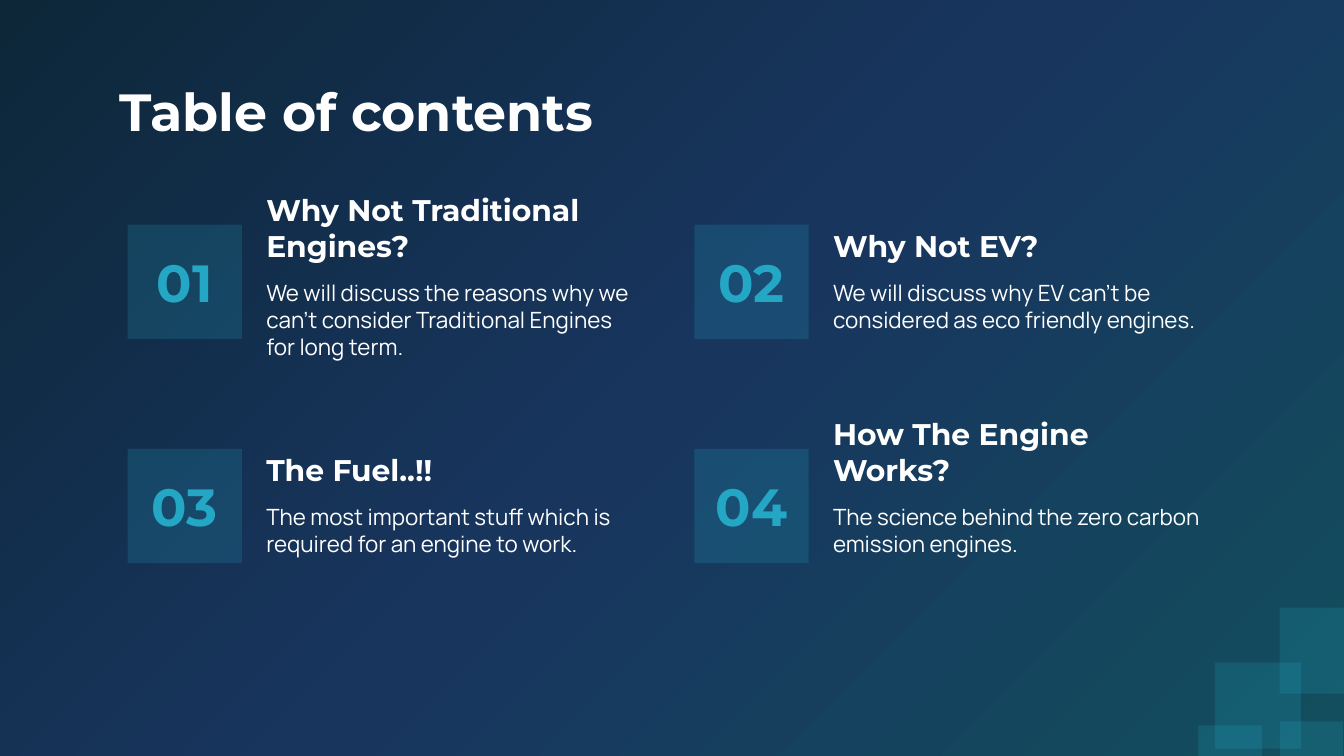
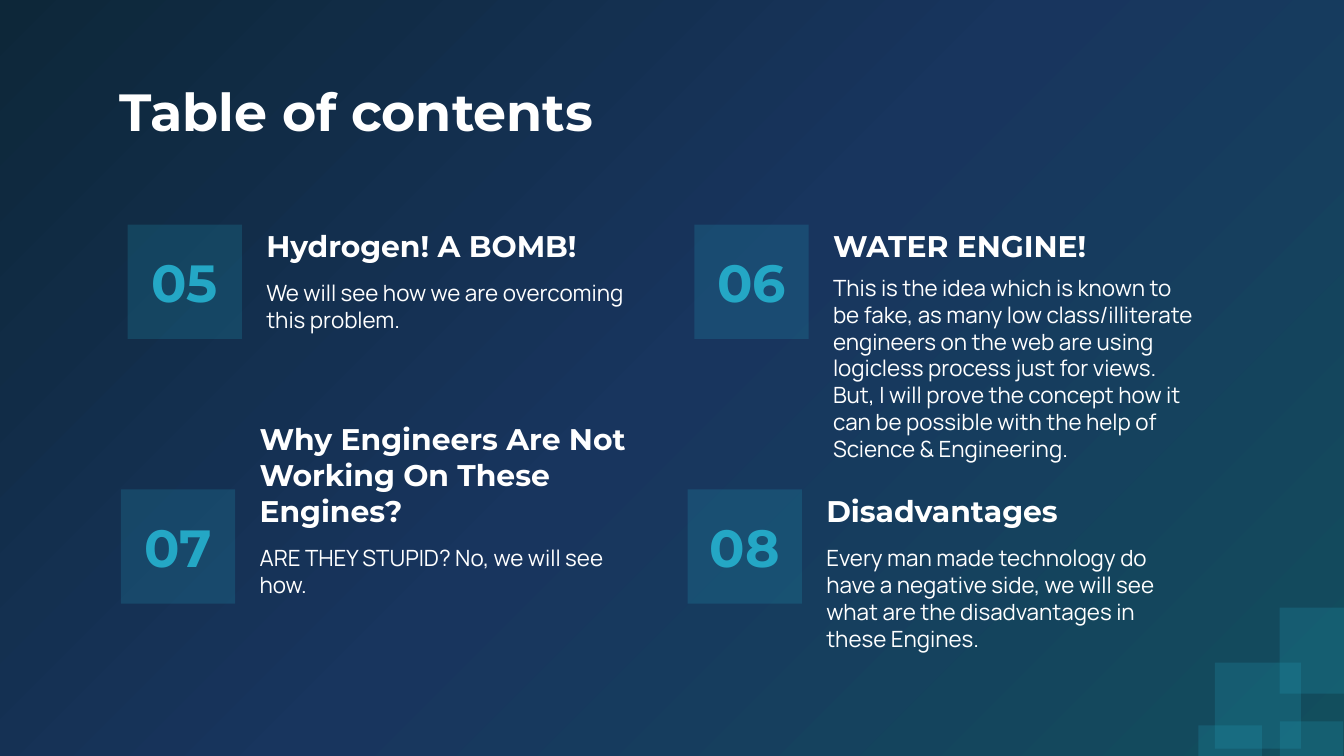
import copy
from dataclasses import dataclass

import lxml.etree
import pptx
import pptx.dml.color
import pptx.enum.shapes
import pptx.enum.text
import pptx.oxml.ns
import pptx.util

Pt = pptx.util.Pt
RGB = pptx.dml.color.RGBColor.from_string
ALIGN = pptx.enum.text.PP_ALIGN
ANCHOR = pptx.enum.text.MSO_ANCHOR
qn = pptx.oxml.ns.qn

TITLE = "Table of contents"

# Each row: left and top of its first number box, then its entries from left to right.
# An entry: number, heading, description, upward shift of the description.
SLIDES = [
    [
        (68.4, 120.4, [
            ("01", "Why Not Traditional Engines?",
             "We will discuss the reasons why we can’t consider Traditional Engines for long term.", 0),
            ("02", "Why Not EV?",
             "We will discuss why EV can’t be considered as eco friendly engines.", 0),
        ]),
        (68.4, 240.5, [
            ("03", "The Fuel..!!",
             "The most important stuff which is required for an engine to work.", 0),
            ("04", "How The Engine Works?",
             "The science behind the zero carbon emission engines.", 0),
        ]),
    ],
    [
        (68.4, 120.4, [
            ("05", "Hydrogen! A BOMB!",
             "We will see how we are overcoming this problem.", 0),
            ("06", "WATER ENGINE!",
             "This is the idea which is known to be fake, as many low class/illiterate engineers "
             "on the web are using logicless process just for views. But, I will prove the concept "
             "how it can be possible with the help of Science & Engineering.", 2.9),
        ]),
        (64.8, 262.2, [
            ("07", "Why Engineers Are Not Working On These Engines?",
             "ARE THEY STUPID? No, we will see how.", 0),
            ("08", "Disadvantages",
             "Every man made technology do have a negative side, we will see what are the "
             "disadvantages in these Engines.", 0),
        ]),
    ],
]

CORNER_SQUARES = [
    (650.9, 355, 46.1, 46.1),
    (685.6, 325.6, 36, 46.1),
    (685.6, 386.5, 34, 19.2),
    (642, 388.6, 34, 18.8),
]


@dataclass(frozen=True)
class Theme:
    white: str = "FFFFFF"
    accent: str = "24A7C5"
    tint: int = 20
    gradient: tuple = ((0, "124E5D"), (0.5, "18355E"), (1, "0D2739"))
    gradient_angle: int = 135
    head_font: str = "Montserrat"
    body_font: str = "Manrope"
    title_size: int = 28
    heading_size: int = 16
    body_size: int = 12
    body_leading: float = 14.4
    inset: float = 7.2


T = Theme()
COLUMN_STEP = 303.6
NUMBER_SIZE = 61.2
TEXT_DX, TEXT_W = 67.2, 211.4
HEADING_DY, HEADING_H = -5.9, 33.8
BODY_DY, BODY_H = 22.1, 45.4


def place(sp, x, y, w, h):
    sp.left, sp.top, sp.width, sp.height = Pt(x), Pt(y), Pt(w), Pt(h)


def write(sp, text, size=T.title_size, font=T.head_font, color=T.white, bold=True,
          align=ALIGN.LEFT, anchor=ANCHOR.TOP, leading=None):
    tf = sp.text_frame
    tf.word_wrap = True
    tf.auto_size = pptx.enum.text.MSO_AUTO_SIZE.NONE
    tf.vertical_anchor = anchor
    tf.margin_left = tf.margin_top = tf.margin_right = tf.margin_bottom = Pt(T.inset)
    p = tf.paragraphs[0]
    p.alignment = align
    if leading:
        p.line_spacing = Pt(leading)
    r = p.add_run()
    r.text = text
    r.font.name, r.font.size, r.font.bold = font, Pt(size), bold
    r.font.color.rgb = RGB(color)


def add_tinted_square(s, x, y, w, h):
    sp = s.shapes.add_shape(pptx.enum.shapes.MSO_SHAPE.RECTANGLE, Pt(x), Pt(y), Pt(w), Pt(h))
    sp.shadow.inherit = False
    sp.line.fill.background()
    sp.fill.solid()
    sp.fill.fore_color.rgb = RGB(T.accent)
    color = sp.element.spPr.find(qn("a:solidFill"))[0]
    lxml.etree.SubElement(color, qn("a:alpha"), val=str(T.tint * 1000))
    return sp


def add_text(s, text, x, y, w, h, **fmt):
    write(s.shapes.add_textbox(Pt(x), Pt(y), Pt(w), Pt(h)), text, **fmt)


def set_background(master):
    fill = master.background.fill
    fill.gradient()
    fill.gradient_angle = T.gradient_angle
    stops = master.element.find(".//" + qn("a:gsLst"))
    stops.insert(1, copy.deepcopy(stops[0]))
    for stop, (position, color) in zip(fill.gradient_stops, T.gradient):
        stop.position = position
        stop.color.rgb = RGB(color)


def add_entry(s, x, y, number, heading, body, lift):
    write(add_tinted_square(s, x, y, NUMBER_SIZE, NUMBER_SIZE), number,
          color=T.accent, align=ALIGN.CENTER, anchor=ANCHOR.MIDDLE)
    add_text(s, heading, x + TEXT_DX, y + HEADING_DY, TEXT_W, HEADING_H,
             size=T.heading_size, anchor=ANCHOR.BOTTOM)
    add_text(s, body, x + TEXT_DX, y + BODY_DY - lift, TEXT_W, BODY_H,
             size=T.body_size, font=T.body_font, bold=False, leading=T.body_leading)


def add_contents_slide(prs, rows):
    s = prs.slides.add_slide(prs.slide_layouts.get_by_name("Title Only"))
    for square in CORNER_SQUARES:
        add_tinted_square(s, *square)
    place(s.shapes.title, 56.9, 35.3, 607, 45.4)
    write(s.shapes.title, TITLE)
    for left, top, entries in rows:
        for column, entry in enumerate(entries):
            add_entry(s, left + column * COLUMN_STEP, top, *entry)


def main():
    prs = pptx.Presentation()
    prs.slide_width, prs.slide_height = Pt(720), Pt(405)
    set_background(prs.slide_master)
    for rows in SLIDES:
        add_contents_slide(prs, rows)
    prs.save("out.pptx")


if __name__ == "__main__":
    main()
